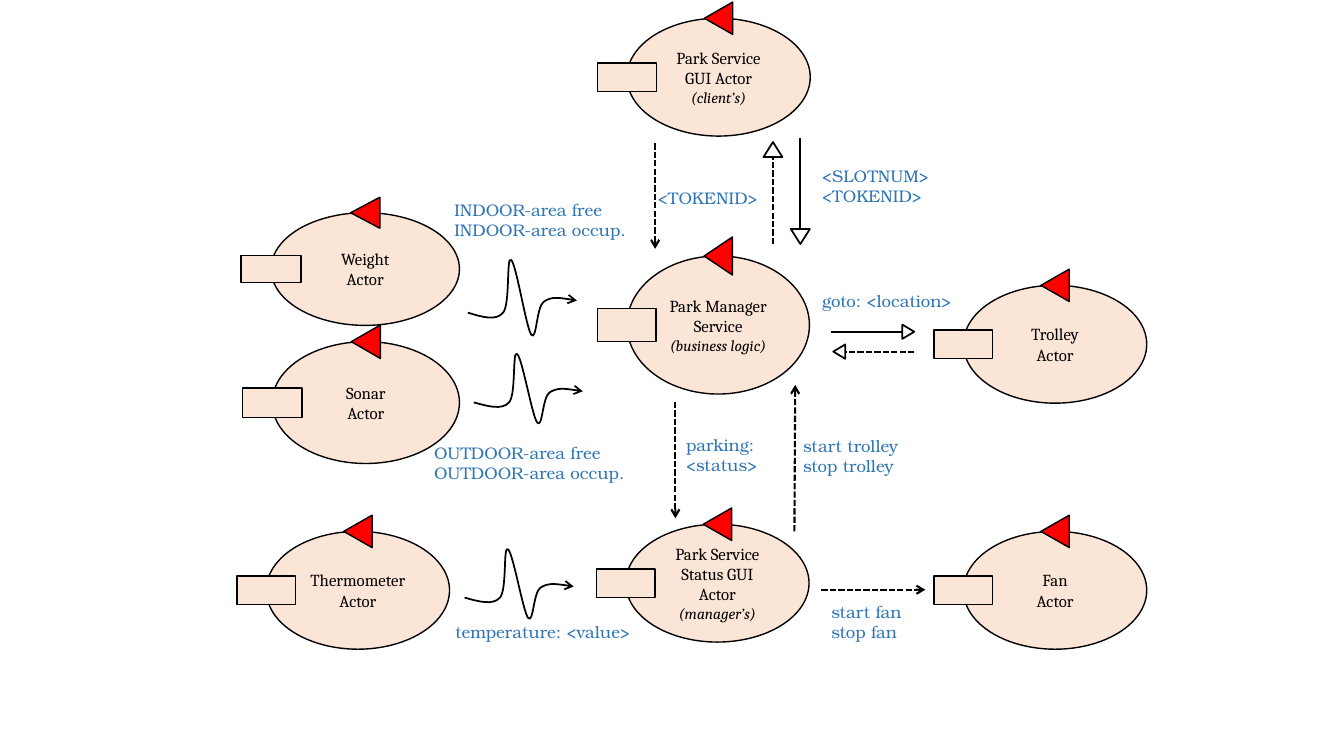
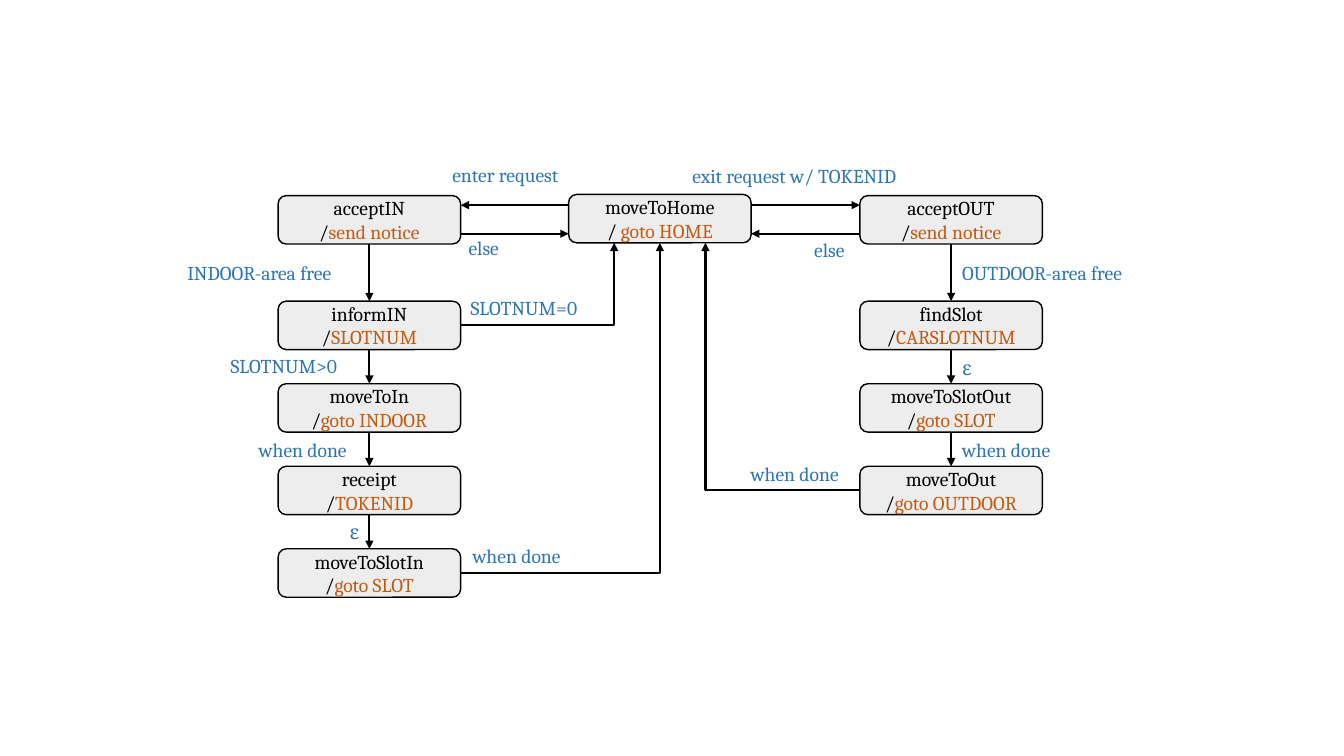
import math

from lxml import etree
from pptx import Presentation
from pptx.dml.color import RGBColor
from pptx.enum.dml import MSO_LINE
from pptx.enum.shapes import MSO_CONNECTOR, MSO_SHAPE
from pptx.enum.text import MSO_ANCHOR, MSO_AUTO_SIZE, PP_ALIGN
from pptx.oxml.ns import qn
from pptx.util import Cm, Pt

STRAIGHT, ELBOW = MSO_CONNECTOR.STRAIGHT, MSO_CONNECTOR.ELBOW
DASH = MSO_LINE.SQUARE_DOT
CENTER, MIDDLE = PP_ALIGN.CENTER, MSO_ANCHOR.MIDDLE
FIT_SHAPE = MSO_AUTO_SIZE.SHAPE_TO_FIT_TEXT
ELLIPSE, RECTANGLE = MSO_SHAPE.OVAL, MSO_SHAPE.RECTANGLE
TRIANGLE, ROUNDED = MSO_SHAPE.ISOSCELES_TRIANGLE, MSO_SHAPE.ROUNDED_RECTANGLE
TOP, LEFT, BOTTOM, RIGHT = range(4)

COLORS = {
    "line": "000000", "actor": "FBE5D6", "marker": "FF0000", "head": "FFFFFF",
    "state": "EDEDED", "label": "2E75B6", "action": "C55A11",
}
FORMATS = {
    "actor": {"name": "Cambria", "size": Pt(12)},
    "role": {"name": "Cambria", "size": Pt(11), "italic": True},
    "message": {"name": "TeX Gyre Bonum", "size": Pt(12)},
    "state": {"name": "Cambria", "size": Pt(14)},
}
LABEL_FRAME = {"word_wrap": False, "auto_size": FIT_SHAPE}

# Geometry in centimetres
ACTOR_W, ACTOR_H = 4.62, 2.97
STATE_W, STATE_H = 4.6, 1.22
COLUMN_IN, COLUMN_HOME, COLUMN_OUT = 7.01, 14.33, 21.67
ROWS = [4.93] + [7.59 + 2.08 * step for step in range(4)]
HOME_TOP = 4.9
PULSE = [
    (0, 1.22), (0.36, 1.32), (0.71, 1.42), (0.89, 1.22),
    (1.07, 1.02), (0.97, -0.1), (1.09, 0),
    (1.22, 0.08), (1.47, 1.57), (1.6, 1.73),
    (1.73, 1.9), (1.73, 1.09), (1.91, 0.97),
    (2.11, 0.84), (2.44, 0.89), (2.75, 0.94),
]


def color(name):
    return RGBColor.from_string(COLORS[name])


def set_values(target, values):
    for attribute, value in values.items():
        setattr(target, attribute, value)


def add_run(paragraph, text, style, color_name="line"):
    run = paragraph.add_run()
    run.text = text
    set_values(run.font, FORMATS[style])
    run.font.color.rgb = color(color_name)


def next_paragraph(frame, index):
    return frame.add_paragraph() if index else frame.paragraphs[0]


def set_line(shape, width, dash=None):
    shape.line.color.rgb = color("line")
    set_values(shape.line, {"width": Pt(width), "dash_style": dash})


def add_tail(shape, kind):
    line = shape.element.find(".//" + qn("a:ln"))
    etree.SubElement(line, qn("a:tailEnd"), type=kind)


def add_box(shapes, kind, left, top, width, height, fill, line_width=1):
    shape = shapes.add_shape(kind, Cm(left), Cm(top), Cm(width), Cm(height))
    shape.shadow.inherit = False
    shape.fill.solid()
    shape.fill.fore_color.rgb = color(fill)
    set_line(shape, line_width)
    return shape


def add_line(shapes, start, end, tail=None, dash=None, kind=STRAIGHT):
    connector = shapes.add_connector(kind, *map(Cm, (*start, *end)))
    set_line(connector, 1.5, dash)
    if tail:
        add_tail(connector, tail)
    etree.SubElement(connector.element.spPr, qn("a:effectLst"))
    return connector


def add_label(slide, left, top, width, text, style):
    lines = text.split("\n")
    height = (0.86 if style == "state" else 0.76) + 0.51 * (len(lines) - 1)
    box = slide.shapes.add_textbox(Cm(left), Cm(top), Cm(width), Cm(height))
    set_values(box.text_frame, LABEL_FRAME)
    for index, line in enumerate(lines):
        add_run(next_paragraph(box.text_frame, index), line, style, "label")


# Actor diagram
def add_actor(slide, left, top, lines, width=ACTOR_W, height=ACTOR_H):
    shapes = slide.shapes.add_group_shape().shapes
    body = add_box(shapes, ELLIPSE, left, top, width, height, "actor")
    frame = body.text_frame
    set_values(frame, {"word_wrap": True, "vertical_anchor": MIDDLE})
    for index, line in enumerate(lines):
        paragraph = next_paragraph(frame, index)
        paragraph.alignment = CENTER
        add_run(paragraph, line, "role" if line.startswith("(") else "actor")

    # Marker centred on the top edge, port centred on the left edge
    marker_w, marker_h = 0.275 * height, 0.155 * width
    marker = add_box(shapes, TRIANGLE, left + (width - marker_w) / 2,
                     top - marker_h / 2, marker_w, marker_h, "marker")
    marker.rotation = 270
    port_w, port_h = 0.32 * width, 0.24 * height
    add_box(shapes, RECTANGLE, left - port_w / 2,
            top + (height - port_h) / 2, port_w, port_h, "actor")


def add_pulse(slide, left, top, stretch=1):
    points = [(Cm(left + x), Cm(top + y * stretch)) for x, y in PULSE]
    builder = slide.shapes.build_freeform(*points[0], scale=1.0)
    builder.add_line_segments(points[1:], close=False)
    pulse = builder.convert_to_shape()
    pulse.shadow.inherit = False
    pulse.fill.background()
    set_line(pulse, 1.25)
    add_tail(pulse, "arrow")

    # Each three points become one Bezier segment
    outline = pulse.element.find(".//" + qn("a:path"))
    segments = outline.findall(qn("a:lnTo"))
    for index, segment in enumerate(segments):
        if index % 3 == 0:
            curve = etree.SubElement(outline, qn("a:cubicBezTo"))
        curve.append(segment[0])
        outline.remove(segment)


def add_hollow_arrow(slide, start, tip, base, length, dash=None):
    shapes = slide.shapes.add_group_shape().shapes
    dx, dy = tip[0] - start[0], tip[1] - start[1]
    reach = math.hypot(dx, dy)

    def before_tip(distance):
        return tip[0] - dx / reach * distance, tip[1] - dy / reach * distance

    add_line(shapes, start, before_tip(length), dash=dash)
    x, y = before_tip(length / 2)
    head = add_box(shapes, TRIANGLE, x - base / 2, y - length / 2,
                   base, length, "head", 1.25)
    head.rotation = math.degrees(math.atan2(dx, -dy))


def build_actor_slide(slide):
    for actor in (
        (6.86, 8.61, ["Sonar", "Actor"], 4.72, 3.07),
        (6.83, 5.36, ["Weight", "Actor"], 4.75, 2.84),
        (15.8, 6.45, ["Park Manager Service", "(business logic)"], 4.6, 3.48),
        (15.77, 13.21, ["Park Service Status GUI Actor", "(manager’s)"]),
        (15.8, 0.46, ["Park Service GUI Actor", "(client’s)"]),
        (24.28, 13.39, ["Fan", "Actor"]),
        (6.71, 13.39, ["Thermometer", "Actor"]),
        (24.28, 7.19, ["Trolley", "Actor"]),
    ):
        add_actor(slide, *actor)

    for pulse in ((11.79, 6.55, 1.09), (11.71, 13.84), (11.94, 8.92)):
        add_pulse(slide, *pulse)

    for start, end in (
        ((20.7, 14.86), (23.32, 14.86)),
        ((20.02, 13.39), (20.04, 9.7)),
        ((17.02, 10.13), (17.02, 13.06)),
        ((16.51, 3.61), (16.51, 6.27)),
    ):
        add_line(slide.shapes, start, end, "arrow", DASH)

    for hollow_arrow in (
        ((20.17, 3.48), (20.17, 6.15), 0.48, 0.38),
        ((19.48, 6.15), (19.48, 3.58), 0.48, 0.38, DASH),
        ((20.93, 8.36), (23.04, 8.36), 0.36, 0.3),
        ((23.04, 8.86), (21, 8.86), 0.36, 0.3, DASH),
    ):
        add_hollow_arrow(slide, *hollow_arrow)

    for label in (
        (20.7, 15.04, 2.29, "start fan\nstop fan"),
        (20.47, 7.19, 3.96, "goto: <location>"),
        (11.2, 4.9, 4.9, "INDOOR-area free\nINDOOR-area occup."),
        (10.69, 11.02, 5.38, "OUTDOOR-area free\nOUTDOOR-area occup."),
        (11.23, 15.54, 4.98, "temperature: <value>"),
        (19.99, 10.85, 2.92, "start trolley\nstop trolley"),
        (17.04, 10.82, 2.34, "parking:\n<status>"),
        (20.47, 4.04, 3.23, "<SLOTNUM>\n<TOKENID>"),
        (16.33, 4.6, 3.05, "<TOKENID>"),
    ):
        add_label(slide, *label, "message")


# State diagram
def add_state(slide, left, top, name, action, prefix="/"):
    state = add_box(slide.shapes, ROUNDED, left, top, STATE_W, STATE_H, "state")
    frame = state.text_frame
    set_values(frame, {"word_wrap": True, "vertical_anchor": MIDDLE})
    title, detail = frame.paragraphs[0], frame.add_paragraph()
    title.alignment = detail.alignment = CENTER
    add_run(title, name, "state")
    add_run(detail, prefix, "state")
    add_run(detail, action, "state", "action")
    return state


def add_column(slide, left, entries):
    states = [add_state(slide, left, top, *entry)
              for top, entry in zip(ROWS, entries)]
    for upper, lower in zip(states, states[1:]):
        connector = add_line(slide.shapes, (0, 0), (0, 0), "triangle")
        connector.begin_connect(upper, BOTTOM)
        connector.end_connect(lower, TOP)
    return states


def add_return(slide, state, side, home, share):
    end = (COLUMN_HOME + STATE_W * share, HOME_TOP + STATE_H)
    connector = add_line(slide.shapes, (0, 0), end, "triangle", kind=ELBOW)
    connector.element.find(".//" + qn("a:prstGeom")).set("prst", "bentConnector2")
    connector.begin_connect(state, side)
    if share == 0.5:
        connector.end_connect(home, BOTTOM)


def build_state_slide(slide):
    states_in = add_column(slide, COLUMN_IN, (
        ("acceptIN", "send notice"), ("informIN", "SLOTNUM"),
        ("moveToIn", "goto INDOOR"), ("receipt", "TOKENID"),
        ("moveToSlotIn", "goto SLOT")))
    states_out = add_column(slide, COLUMN_OUT, (
        ("acceptOUT", "send notice"), ("findSlot", "CARSLOTNUM"),
        ("moveToSlotOut", "goto SLOT"), ("moveToOut", "goto OUTDOOR")))
    home = add_state(slide, COLUMN_HOME, HOME_TOP, "moveToHome", "goto HOME", "/ ")

    # Ways back to the home state
    add_return(slide, states_in[1], RIGHT, home, 0.25)
    add_return(slide, states_in[4], RIGHT, home, 0.5)
    add_return(slide, states_out[3], LEFT, home, 0.75)

    # Requests leave home on the upper line, refusals return on the lower
    for home_x, accept_x in ((COLUMN_HOME, COLUMN_IN + STATE_W),
                             (COLUMN_HOME + STATE_W, COLUMN_OUT)):
        add_line(slide.shapes, (home_x, 5.17), (accept_x, 5.17), "triangle")
        add_line(slide.shapes, (accept_x, 5.89), (home_x, 5.89), "triangle")

    for label in (
        (5.56, 8.79, 3.73, "SLOTNUM>0"),
        (11.61, 7.34, 3.73, "SLOTNUM=0"),
        (4.47, 6.45, 4.85, "INDOOR-area free"),
        (17.2, 4.01, 6.53, "exit request w/ TOKENID"),
        (6.27, 10.92, 2.97, "when done"),
        (11.66, 13.59, 2.97, "when done"),
        (24, 8.84, 0.74, "ε"),
        (24, 10.92, 2.97, "when done"),
        (18.67, 11.51, 2.97, "when done"),
        (11.15, 3.99, 3.61, "enter request"),
        (24, 6.45, 5.38, "OUTDOOR-area free"),
        (11.56, 5.82, 1.4, "else"),
        (20.27, 5.87, 1.4, "else"),
        (8.56, 12.98, 0.74, "ε"),
    ):
        add_label(slide, *label, "state")


def main():
    presentation = Presentation()
    set_values(presentation, {"slide_width": Cm(33.87), "slide_height": Cm(19.05)})
    for build in (build_actor_slide, build_state_slide):
        build(presentation.slides.add_slide(presentation.slide_layouts[6]))
    presentation.save("out.pptx")


if __name__ == "__main__":
    main()
